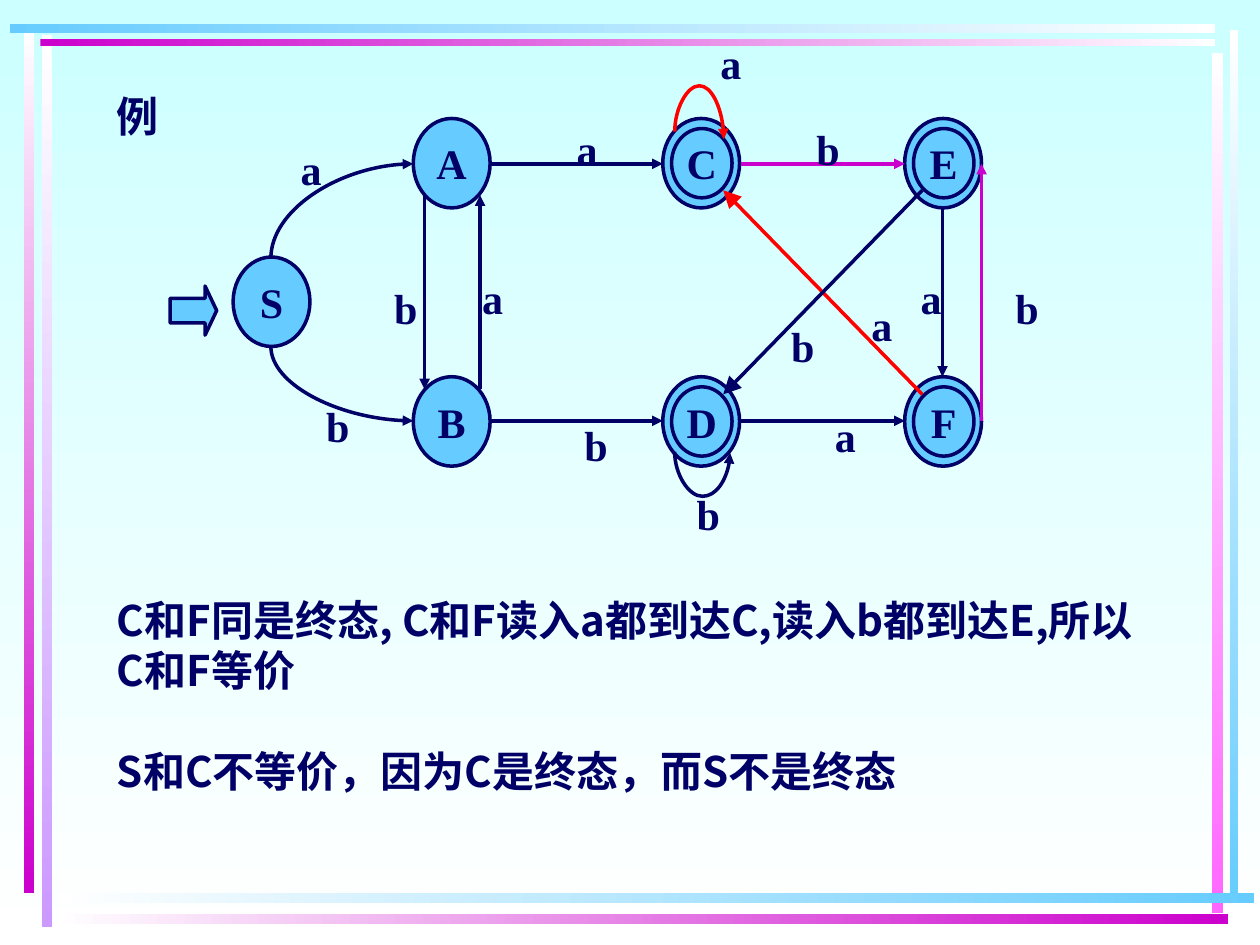
from lxml.etree import SubElement
from pptx import Presentation
from pptx.dml.color import RGBColor
from pptx.enum.shapes import MSO_CONNECTOR, MSO_SHAPE
from pptx.enum.text import MSO_ANCHOR, PP_ALIGN
from pptx.oxml.ns import qn
from pptx.util import Inches, Pt

NAVY = RGBColor(0x00, 0x00, 0x66)
SKY = RGBColor(0x66, 0xCC, 0xFF)
PURPLE = RGBColor(0xCC, 0x00, 0xCC)
LILAC = RGBColor(0xCC, 0x99, 0xFF)
PINK = RGBColor(0xFF, 0x66, 0xFF)
RED = RGBColor(0xFF, 0x00, 0x00)
ICE = RGBColor(0xCC, 0xFF, 0xFF)
WHITE = RGBColor(0xFF, 0xFF, 0xFF)

LETTER_FORMAT = {"name": "Times New Roman", "size": Pt(24), "bold": True}
BODY_FORMAT = LETTER_FORMAT | {"name": "Noto Sans CJK SC"}
CENTRED_FRAME = {"word_wrap": False, "vertical_anchor": MSO_ANCHOR.MIDDLE}


def write_text(para, text, text_format):
    span = para.add_run()
    span.text = text
    for name, value in text_format.items():
        setattr(span.font, name, value)
    span.font.color.rgb = NAVY
    east_asian = SubElement(span.font._element, qn("a:ea"))
    east_asian.set("typeface", BODY_FORMAT["name"])


def add_edge(kind, start, end, color, head="med"):
    edge = page.shapes.add_connector(kind, *map(Inches, start + end))
    edge.line.color.rgb = color
    edge.line.width = Pt(2)
    arrow = SubElement(edge.line._ln, qn("a:tailEnd"))
    for name, value in {"type": "triangle", "w": head, "len": head}.items():
        arrow.set(name, value)
    SubElement(edge._element.spPr, qn("a:effectLst"))
    return edge


deck = Presentation()
deck.slide_width, deck.slide_height = Inches(10), Inches(7.5)
page = deck.slides.add_slide(deck.slide_layouts[6])

gradients = [(page.background.fill, ICE, WHITE, 270)]
bars = [
    (0.33, 0.28, 0.08, 7.08, WHITE, LILAC),
    (0.19, 0.25, 0.08, 6.84, WHITE, PURPLE),
    (9.76, 0.24, 0.07, 6.93, WHITE, SKY),
    (9.62, 0.42, 0.09, 6.83, WHITE, PINK),
    (0.45, 7.09, 9.5, 0.08, WHITE, SKY),
    (0.45, 7.25, 9.3, 0.08, WHITE, PURPLE),
    (0.32, 0.31, 9.32, 0.06, PURPLE, WHITE),
    (0.08, 0.19, 9.56, 0.07, SKY, WHITE),
]
for left, top, width, height, first, last in bars:
    bar = page.shapes.add_shape(
        MSO_SHAPE.RECTANGLE, Inches(left), Inches(top), Inches(width), Inches(height))
    bar.shadow.inherit = False
    bar.line.fill.background()
    gradients.append((bar.fill, first, last, 270 if height > width else 0))

for fill, first, last, angle in gradients:
    fill.gradient()
    fill.gradient_angle = angle
    for stop, color in zip(fill.gradient_stops, (first, last)):
        stop.color.rgb = color

TOP_ROW, BOTTOM_ROW = 0.94, 2.99
states = [
    ("S", 1.85, 2.04, False),
    ("A", 3.28, TOP_ROW, False),
    ("B", 3.28, BOTTOM_ROW, False),
    ("C", 5.26, TOP_ROW, True),
    ("D", 5.26, BOTTOM_ROW, True),
    ("E", 7.18, TOP_ROW, True),
    ("F", 7.18, BOTTOM_ROW, True),
]
outlines = [(MSO_SHAPE.RIGHT_ARROW, 1.35, 2.27, 0.37, 0.39, "")]
for name, left, top, final in states:
    outlines.append((MSO_SHAPE.OVAL, left, top, 0.61, 0.71, "" if final else name))
    if final:
        outlines.append((MSO_SHAPE.OVAL, left + 0.07, top + 0.08, 0.48, 0.55, name))

for kind, left, top, width, height, name in outlines:
    shape = page.shapes.add_shape(
        kind, Inches(left), Inches(top), Inches(width), Inches(height))
    shape.shadow.inherit = False
    shape.fill.solid()
    shape.fill.fore_color.rgb = SKY
    shape.line.color.rgb = NAVY
    shape.line.width = Pt(2)
    if kind == MSO_SHAPE.RIGHT_ARROW:
        shape.adjustments[1] = 0.25
    if name:
        for key, value in CENTRED_FRAME.items():
            setattr(shape.text_frame, key, value)
        para = shape.text_frame.paragraphs[0]
        para.alignment = PP_ALIGN.CENTER
        write_text(para, name, LETTER_FORMAT)

straight_edges = [
    ((3.81, 3.09), (3.81, 1.55), NAVY, "med"),
    ((3.37, 1.55), (3.37, 3.09), NAVY, "med"),
    ((3.9, 1.3), (5.26, 1.3), NAVY, "med"),
    ((3.9, 3.34), (5.26, 3.34), NAVY, "med"),
    ((5.88, 3.34), (7.18, 3.34), NAVY, "med"),
    ((5.88, 1.3), (7.18, 1.3), PURPLE, "med"),
    ((7.48, 1.65), (7.48, 2.99), NAVY, "med"),
    ((7.79, 3.34), (7.79, 1.3), PURPLE, "med"),
    ((7.32, 3.13), (5.74, 1.51), RED, "lg"),
    ((7.32, 1.51), (5.74, 3.13), NAVY, "lg"),
]
for start, end, color, head in straight_edges:
    add_edge(MSO_CONNECTOR.STRAIGHT, start, end, color, head)

curved_edges = [
    (2.34, 1.11, 0.75, 1.13, 270, None, "curvedConnector2", None, NAVY),
    (2.42, 2.48, 0.59, 1.13, 270, "flipH", "curvedConnector2", None, NAVY),
    (5.52, 0.88, 0.06, 0.39, 90, "flipV", "curvedConnector3", -6.09, RED),
    (5.57, 3.37, 0.01, 0.44, 270, "flipH", "curvedConnector3", 36, NAVY),
]
for left, top, width, height, turn, flip, preset, bend, color in curved_edges:
    edge = add_edge(
        MSO_CONNECTOR.CURVE, (left, top), (left + width, top + height), color)
    frame = edge._element.spPr.find(qn("a:xfrm"))
    frame.set("rot", str(turn * 60000))
    if flip:
        frame.set(flip, "1")
    geometry = edge._element.spPr.find(qn("a:prstGeom"))
    geometry.set("prst", preset)
    if bend:
        guide = SubElement(geometry.find(qn("a:avLst")), qn("a:gd"))
        guide.set("name", "adj1")
        guide.set("fmla", f"val {round(bend * 100000)}")

edge_labels = {
    "a": [(5.61, 0.25), (2.28, 1.09), (3.72, 2.11), (4.47, 0.93),
          (7.2, 2.11), (6.52, 3.21), (6.81, 2.33)],
    "b": [(7.96, 2.19), (2.49, 3.13), (3.03, 2.19), (4.54, 3.28),
          (6.38, 0.93), (5.43, 3.83), (6.18, 2.49)],
}
for letter, places in edge_labels.items():
    for left, top in places:
        box = page.shapes.add_textbox(Inches(left), Inches(top), Inches(0.38), Inches(0.5))
        for key, value in CENTRED_FRAME.items():
            setattr(box.text_frame, key, value)
        para = box.text_frame.paragraphs[0]
        para.alignment = PP_ALIGN.CENTER
        write_text(para, letter, LETTER_FORMAT)

heading = page.shapes.add_textbox(Inches(0.83), Inches(0.67), Inches(0.62), Inches(0.5))
heading.text_frame.word_wrap = True
write_text(heading.text_frame.paragraphs[0], "例", LETTER_FORMAT)

body = page.shapes.add_textbox(Inches(0.83), Inches(4.67), Inches(8.42), Inches(1.7))
body.text_frame.word_wrap = True
first_para = body.text_frame.paragraphs[0]
second_para = body.text_frame.add_paragraph()
second_para.space_before = Pt(28.8)
write_text(first_para, "C和F同是终态, C和F读入a都到达C,读入b都到达E,所以 C和F等价", BODY_FORMAT)
write_text(second_para, "S和C不等价，因为C是终态，而S不是终态", BODY_FORMAT)
for para in body.text_frame.paragraphs:
    para.line_spacing = Pt(28.8)

deck.save("out.pptx")
